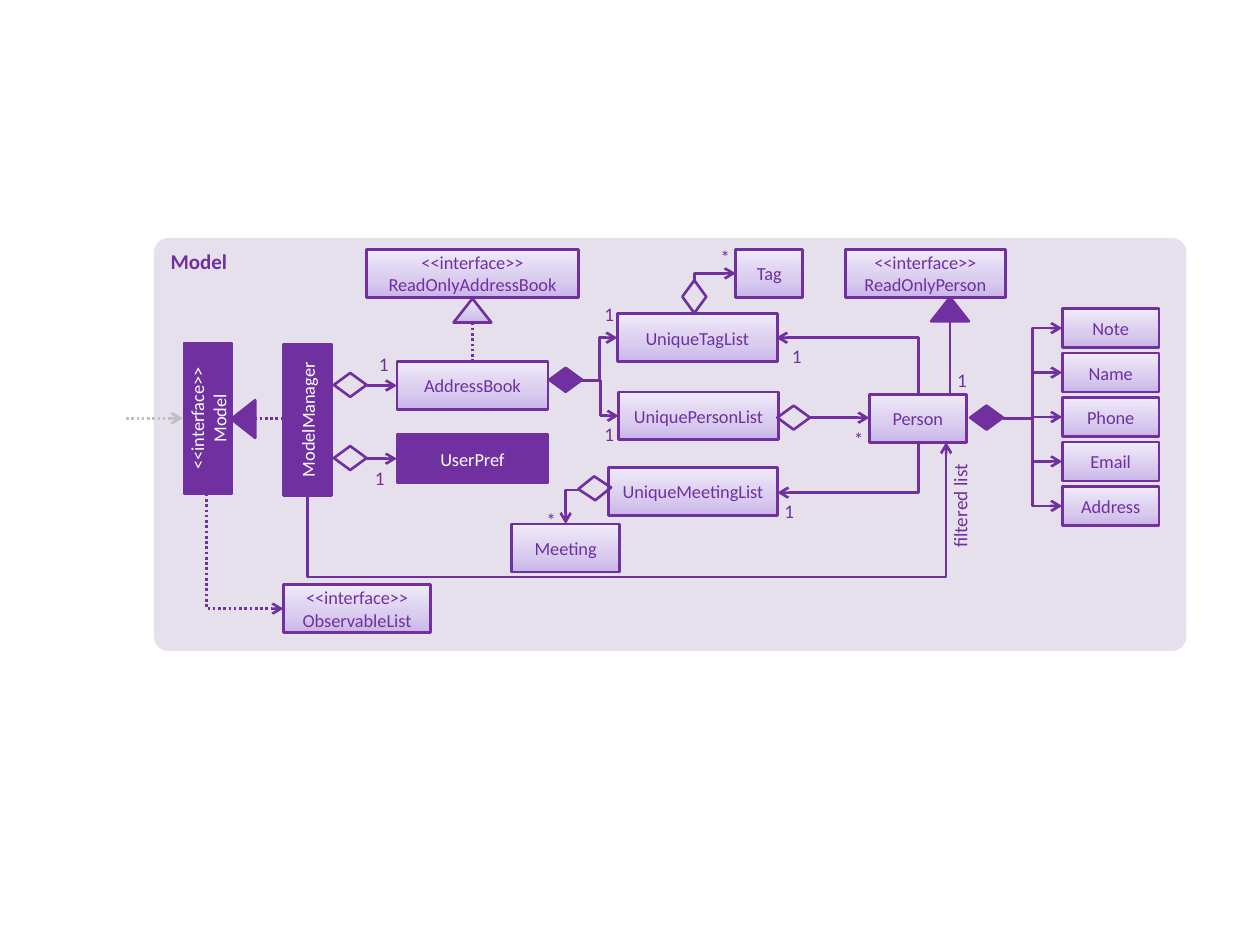
from copy import deepcopy
from lxml.etree import SubElement
from pptx import Presentation
from pptx.dml.color import RGBColor
from pptx.enum.dml import MSO_LINE
from pptx.enum.shapes import MSO_CONNECTOR, MSO_SHAPE
from pptx.enum.text import MSO_ANCHOR, PP_ALIGN
from pptx.oxml.ns import qn
from pptx.util import Pt

PURPLE = RGBColor(0x70, 0x30, 0xA0)
WHITE = RGBColor(0xFF, 0xFF, 0xFF)
GREY = RGBColor(0xBF, 0xBF, 0xBF)
LILAC = RGBColor(0xE6, 0xE0, 0xEC)
FADE = [(0, RGBColor(0xC9, 0xB5, 0xE8)), (0.35, RGBColor(0xD8, 0xCB, 0xEE)),
        (1, RGBColor(0xF0, 0xEA, 0xF9))]
LABEL = {"name": "Calibri", "size": Pt(10.5)}
NOTE = {"name": "Calibri", "size": Pt(11)}
HEAD = {"name": "Calibri", "size": Pt(12), "bold": True}
FLUSH = dict.fromkeys(["margin_left", "margin_right", "margin_top", "margin_bottom"], 0)
TALL = 27.4


def apply(item, values):
    for name, value in values.items():
        setattr(item, name, value)


def write(frame, text, font, color, align):
    frame.word_wrap = True
    frame.text = text
    for para in frame.paragraphs:
        para.alignment = align
        for run in para.runs:
            apply(run.font, font)
            run.font.color.rgb = color


def paint(shape, fill):
    if fill is None:
        shape.fill.background()
    elif fill is FADE:
        shape.fill.gradient()
        shape.fill.gradient_angle = 90
        stops = shape._element.spPr.find(".//" + qn("a:gsLst"))
        stops.append(deepcopy(stops[-1]))
        for stop, (place, color) in zip(shape.fill.gradient_stops, FADE):
            stop.position = place
            stop.color.rgb = color
    else:
        shape.fill.solid()
        shape.fill.fore_color.rgb = fill


class Region:
    def __init__(self, slide, box):
        self.shapes = slide.shapes
        self.left, self.top, self.width, self.height = box

    def spot(self, x, y):
        return Pt(round(self.left + x, 2)), Pt(round(self.top + y, 2))

    def form(self, kind, x, y, w, h, fill, turn=0):
        shape = self.shapes.add_shape(kind, *self.spot(x, y), Pt(w), Pt(h))
        shape.shadow.inherit = False
        shape.rotation = turn
        paint(shape, fill)
        apply(shape.line, {"width": Pt(1.5)})
        shape.line.color.rgb = PURPLE
        return shape

    def block(self, text, x, y, w, h=TALL, fill=FADE, turn=0):
        shape = self.form(MSO_SHAPE.RECTANGLE, x, y, w, h, fill, turn)
        shape.text_frame.vertical_anchor = MSO_ANCHOR.MIDDLE
        color = PURPLE if fill is FADE else WHITE
        write(shape.text_frame, text, LABEL, color, PP_ALIGN.CENTER)

    def gem(self, x, y, fill=None, turn=0):
        self.form(MSO_SHAPE.FLOWCHART_DECISION, x, y, 18.7, 13.7, fill, turn)

    def peak(self, x, y, fill=PURPLE, turn=0):
        self.form(MSO_SHAPE.ISOSCELES_TRIANGLE, x, y, 21.6, 13.7, fill, turn)

    def count(self, text, x, y):
        frame = self.shapes.add_textbox(*self.spot(x, y), Pt(15.1), Pt(14.4)).text_frame
        apply(frame, FLUSH)
        write(frame, text, NOTE, PURPLE, PP_ALIGN.CENTER)

    def link(self, start, end, bend=0, rise=False, ratio=None,
             dots=False, arrow=True, color=PURPLE):
        kind = MSO_CONNECTOR.ELBOW if bend else MSO_CONNECTOR.STRAIGHT
        line = self.shapes.add_connector(kind, *self.spot(*start), *self.spot(*end))
        prop = line._element.spPr
        if bend:
            shape = prop.find(qn("a:prstGeom"))
            shape.set("prst", f"bentConnector{bend}")
            if ratio is not None:
                SubElement(shape.find(qn("a:avLst")), qn("a:gd"), name="adj1",
                           fmla=f"val {round(ratio * 100000)}")
        if rise:
            self.pivot(line, end[0] - start[0], end[1] - start[1])
        line.line.width = Pt(1.5)
        line.line.color.rgb = color
        if dots:
            line.line.dash_style = MSO_LINE.ROUND_DOT
        if arrow:
            SubElement(prop.find(qn("a:ln")), qn("a:tailEnd"), type="arrow")
        SubElement(prop, qn("a:effectLst"))

    def pivot(self, line, across, down):
        mid_x = line.left + line.width // 2
        mid_y = line.top + line.height // 2
        wide, high = line.height, line.width
        apply(line, {"width": wide, "height": high,
                     "left": mid_x - wide // 2, "top": mid_y - high // 2})
        frame = line._element.spPr.find(qn("a:xfrm"))
        frame.set("rot", "5400000" if down > 0 else "16200000")
        frame.set("flipH", "0")
        frame.set("flipV", "1" if across * down > 0 else "0")


def draw_panel(slide, box):
    area = Region(slide, box)
    panel = area.form(MSO_SHAPE.ROUNDED_RECTANGLE, 0, 0, area.width, area.height, LILAC)
    panel.line.fill.background()
    panel.adjustments[0] = 0.035
    panel.text_frame.vertical_anchor = MSO_ANCHOR.TOP
    write(panel.text_frame, "Model", HEAD, PURPLE, PP_ALIGN.LEFT)


def draw_model(slide, box):
    area = Region(slide, box)
    area.block("ModelManager", 44.5, 90.1, 86.4, fill=PURPLE, turn=270)
    area.block("<<interface>>\nModel", -12.4, 89.4, 86.4, fill=PURPLE, turn=270)
    area.peak(40.2, 96.6, turn=270)
    area.link((-16, 103), (16.4, 103), dots=True, color=GREY)
    area.link((57.4, 103), (74.7, 103), dots=True, arrow=False)
    area.block("<<interface>>\vObservableList", 74, 198.1, 84.2)
    area.link((30.1, 146.2), (74, 211.8), 2, rise=True, dots=True)


def draw_book(slide, box):
    area = Region(slide, box)
    for name, y, fill in [("AddressBook", 70.6, FADE), ("UserPref", 112.4, PURPLE)]:
        area.block(name, 36.8, y, 86.4, fill=fill)
        area.link((19.5, y + 13.7), (36.8, y + 13.7))
        area.gem(0.8, y + 6.5)
    area.count("1", 21.7, 65.6)
    area.count("1", 19.5, 130.4)
    area.link((80, 48.3), (80, 71.4), dots=True, arrow=False)
    area.peak(69.2, 34.6, FADE)
    area.block("<<interface>>\vReadOnlyAddressBook", 19.5, 6.6, 121)


def draw_lists(slide, box):
    area = Region(slide, box)
    for name, x, y, w in [("UniquePersonList", 41.5, 87.9, 91.4),
                          ("UniqueTagList", 40.8, 43.3, 91.4),
                          ("Tag", 108.5, 6.6, 38.2),
                          ("UniqueMeetingList", 35.8, 131.1, 96.5),
                          ("Meeting", -19.7, 163.5, 61.9)]:
        area.block(name, x, y, w)
    for x, y, fill, turn in [(1.9, 74.2, PURPLE, 0), (132.2, 95.8, None, 0),
                             (75.4, 26.7, None, 270), (18.5, 136.2, None, 357.3)]:
        area.gem(x, y, fill, turn)
    for end in [(41.5, 101.6), (40.8, 57)]:
        area.link((20.6, 81.4), end, 3)
    area.link((84.7, 24.6), (108.5, 20.2), 2, rise=True)
    area.link((151, 102.7), (184.8, 102.7))
    area.link((18.5, 144.1), (11.3, 163.5), 2)
    for text, x, y in [("1", 28.6, 36.8), ("1", 28.6, 105.2), ("1", 135.8, 60.6),
                       ("*", 94.8, 4.4), ("*", 171.1, 108.1), ("*", -4.6, 154.2),
                       ("1", 131.5, 149.1)]:
        area.count(text, x, y)


def draw_person(slide, box):
    area = Region(slide, box)
    area.link((-306.3, 146.2), (58.7, 116.7), 3, rise=True, ratio=-1.61)
    area.block("Person", 14.8, 89.4, 55.4)
    area.block("<<interface>>\vReadOnlyPerson", 1.1, 6.6, 91.4)
    area.peak(50.1, 33.9)
    area.link((60.9, 48.3), (60.9, 89.4), arrow=False)
    area.count("1", 60.2, 74.2)
    area.link((42.9, 89.4), (-38.5, 57), 2, rise=True)
    area.link((42.9, 116), (-37.8, 145.5), 2, rise=True)
    area.gem(72.4, 95.8, PURPLE)
    for row, name in enumerate(["Note", "Name", "Phone", "Email", "Address"]):
        y = 40.4 + 25.4 * row
        area.block(name, 125, y, 55.4, 22.3)
        area.link((91.1, 103), (125, y + 11.1), 3)
    label = area.shapes.add_textbox(*area.spot(32.1, 146.2), Pt(69.1), Pt(20.9))
    label.rotation = 270
    write(label.text_frame, "filtered list", NOTE, PURPLE, PP_ALIGN.RIGHT)


deck = Presentation()
apply(deck, {"slide_width": Pt(720), "slide_height": Pt(540)})
page = deck.slides.add_slide(deck.slide_layouts[6])
for draw, left, width in [(draw_panel, 88, 590), (draw_model, 88, 102),
                          (draw_book, 190, 122), (draw_lists, 312, 170),
                          (draw_person, 482, 196)]:
    draw(page, (left, 136, width, 236))
deck.save("out.pptx")
